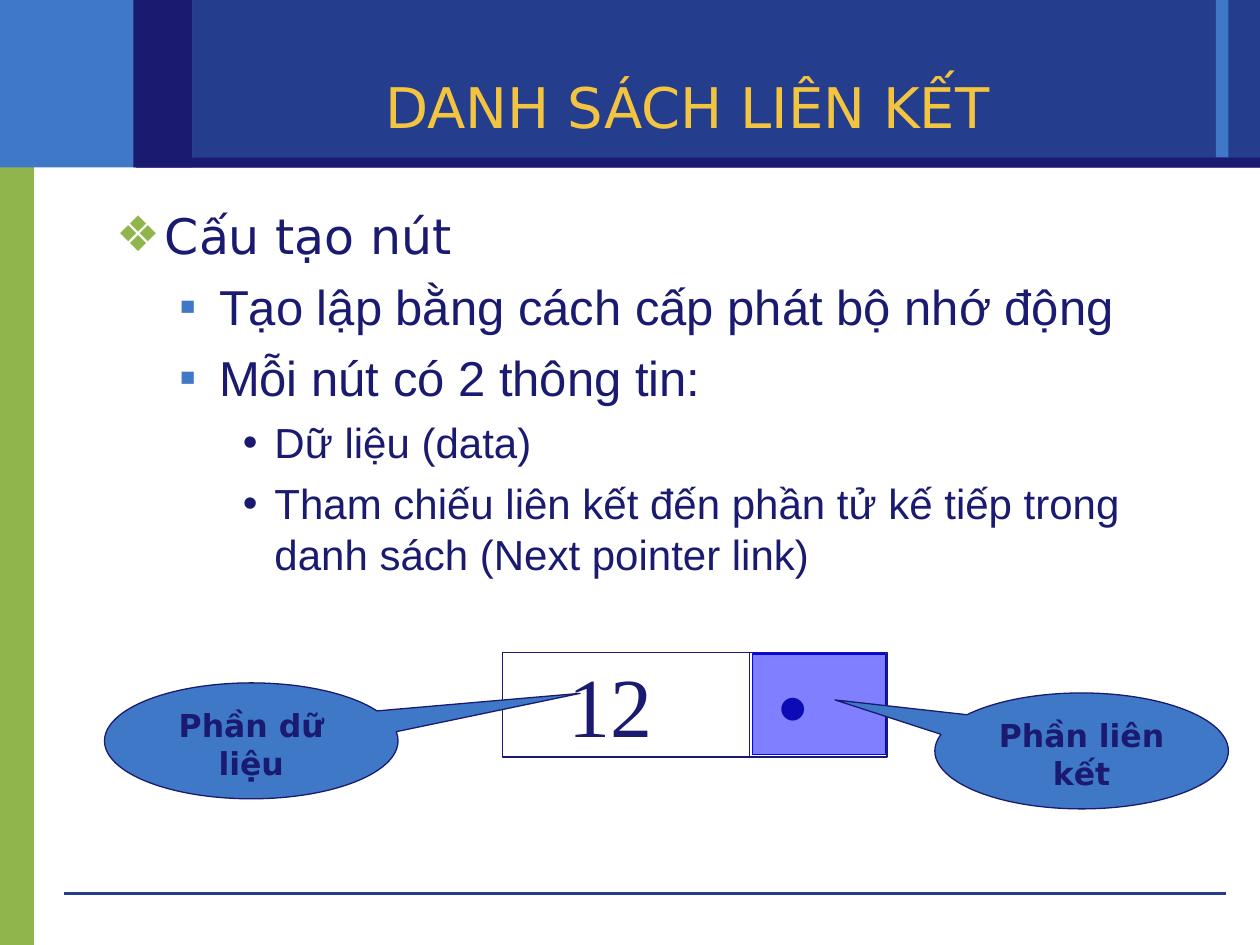
from dataclasses import dataclass

from lxml.etree import SubElement
from pptx import Presentation
from pptx.dml.color import RGBColor
from pptx.enum.shapes import MSO_CONNECTOR as Connector, MSO_SHAPE as Shape
from pptx.enum.text import MSO_ANCHOR as Anchor, PP_ALIGN as Align
from pptx.oxml.ns import qn
from pptx.util import Inches, Pt


@dataclass(frozen=True)
class Theme:
    navy: str = "1A1A70"
    royal: str = "243D8C"
    sky: str = "3E78C6"
    green: str = "90B54D"
    gold: str = "F3C43F"
    blue: str = "0000FF"
    heading_font: str = "DejaVu Sans"
    body_font: str = "Arial"
    number_font: str = "Times New Roman"
    title_size: int = 32
    body_size: int = 28
    detail_size: int = 24
    label_size: int = 18
    number_size: int = 48
    line_width: float = 0.75


THEME = Theme()


def rgb(value):
    return RGBColor.from_string(value)


def add_text(paragraph, text, *, font, size, color=THEME.navy, bold=False, align=None):
    """Add one formatted run to a paragraph."""
    if align is not None:
        paragraph.alignment = align
    run = paragraph.add_run()
    run.text = text
    run.font.name = font
    run.font.size = Pt(size)
    run.font.bold = bold
    run.font.color.rgb = rgb(color)


def set_bullet(paragraph, char, color, margin, hanging):
    props = paragraph._p.get_or_add_pPr()
    props.set("marL", str(Inches(margin)))
    props.set("indent", str(-Inches(hanging)))
    bullet_color = SubElement(props, qn("a:buClr"))
    SubElement(bullet_color, qn("a:srgbClr"), val=color)
    SubElement(props, qn("a:buFont"), typeface=THEME.body_font)
    SubElement(props, qn("a:buChar"), char=char)


def set_tabs(paragraph, stops):
    tabs = SubElement(paragraph._p.get_or_add_pPr(), qn("a:tabLst"))
    for stop in stops:
        SubElement(tabs, qn("a:tab"), pos=str(Inches(stop)), algn="l")


class SlideBuilder:
    def __init__(self, slide, theme):
        self.slide = slide
        self.theme = theme

    def shape(self, kind, left, top, width, height, fill=None, line=None, opacity=None):
        shape = self.slide.shapes.add_shape(
            kind, Inches(left), Inches(top), Inches(width), Inches(height))
        shape.shadow.inherit = False
        if fill:
            shape.fill.solid()
            shape.fill.fore_color.rgb = rgb(fill)
            if opacity is not None:
                color = shape.fill._xPr.find(".//" + qn("a:srgbClr"))
                SubElement(color, qn("a:alpha"), val=str(opacity * 1000))
        else:
            shape.fill.background()
        if line:
            shape.line.color.rgb = rgb(line)
            shape.line.width = Pt(self.theme.line_width)
        else:
            shape.line.fill.background()
        return shape

    def line(self, x1, y1, x2, y2, color, width):
        line = self.slide.shapes.add_connector(
            Connector.STRAIGHT, Inches(x1), Inches(y1), Inches(x2), Inches(y2))
        line.line.color.rgb = rgb(color)
        line.line.width = Pt(width)
        SubElement(line._element.spPr, qn("a:effectLst"))

    def text_box(self, left, top, width, height, anchor=Anchor.TOP):
        box = self.slide.shapes.add_textbox(
            Inches(left), Inches(top), Inches(width), Inches(height))
        box.text_frame.word_wrap = True
        box.text_frame.vertical_anchor = anchor
        return box.text_frame

    def bullets(self, frame, items, levels):
        for index, (level, text) in enumerate(items):
            char, color, margin, hanging, font, size, space = levels[level]
            paragraph = frame.add_paragraph() if index else frame.paragraphs[0]
            paragraph.level = level
            set_bullet(paragraph, char, color, margin, hanging)
            paragraph.space_before = Pt(space if index else 0)
            add_text(paragraph, text, font=font, size=size)

    def callout(self, left, top, text, tip):
        callout = self.shape(Shape.OVAL_CALLOUT, left, top, 2.33, 0.92,
                             self.theme.sky, self.theme.navy)
        for index, offset in enumerate(tip):
            callout.adjustments[index] = offset
        callout.text_frame.word_wrap = True
        callout.text_frame.vertical_anchor = Anchor.TOP
        add_text(callout.text_frame.paragraphs[0], text, bold=True, align=Align.CENTER,
                 font=self.theme.heading_font, size=self.theme.label_size)


def main():
    deck = Presentation()
    deck.slide_width, deck.slide_height = Inches(10), Inches(7.5)
    t = THEME
    builder = SlideBuilder(deck.slides.add_slide(deck.slide_layouts[6]), t)

    # Header bands, side bar and footer rule
    for left, top, width, height, color in (
        (0, 1.07, 0.27, 6.43, t.green),
        (0, 0, 1.53, 1.33, t.sky),
        (1.53, 0, 8.47, 1.33, t.royal),
        (9.65, 0, 0.1, 1.25, t.sky),
        (1.08, 1.25, 8.92, 0.08, t.navy),
        (1.06, 0, 0.47, 1.33, t.navy),
    ):
        builder.shape(Shape.RECTANGLE, left, top, width, height, color)
    builder.line(0.51, 7.09, 9.73, 7.09, t.royal, 0)

    # Title
    title = builder.text_box(1.5, 0.51, 7.92, 0.66, Anchor.MIDDLE)
    add_text(title.paragraphs[0], "DANH SÁCH LIÊN KẾT", font=t.heading_font,
             size=t.title_size, color=t.gold, align=Align.CENTER)

    # Node description: char, colour, margin, hanging, font, size, space before
    levels = (
        ("❖", t.green, 0.38, 0.38, t.heading_font, t.body_size, 7),
        ("▪", t.sky, 0.81, 0.31, t.body_font, t.body_size, 7),
        ("•", t.navy, 1.25, 0.25, t.body_font, t.detail_size, 6),
    )
    description = builder.text_box(0.83, 1.58, 8.75, 4.67)
    builder.bullets(description, (
        (0, "Cấu tạo nút"),
        (1, "Tạo lập bằng cách cấp phát bộ nhớ động"),
        (1, "Mỗi nút có 2 thông tin:"),
        (2, "Dữ liệu (data)"),
        (2, "Tham chiếu liên kết đến phần tử kế tiếp trong "
            "danh sách (Next pointer link)"),
    ), levels)

    # Node: data cell and link cell
    builder.shape(Shape.RECTANGLE, 3.99, 5.18, 3.05, 0.83, line=t.navy)
    builder.line(5.95, 5.18, 5.95, 6.01, t.navy, t.line_width)
    node = builder.text_box(4.08, 5.14, 2.85, 0.9).paragraphs[0]
    set_tabs(node, (0.33, 2))
    add_text(node, "\t12\t", font=t.number_font, size=t.number_size)
    add_text(node, "•", font=t.body_font, size=t.number_size)
    builder.shape(Shape.RECTANGLE, 5.97, 5.19, 1.06, 0.8, t.blue, t.blue, opacity=50)

    # Callouts naming the two cells
    builder.callout(0.83, 5.42, "Phần dữ liệu", (1.12, -0.41))
    builder.callout(7.42, 5.5, "Phần liên kết", (-0.84, -0.44))

    deck.save("out.pptx")


if __name__ == "__main__":
    main()
